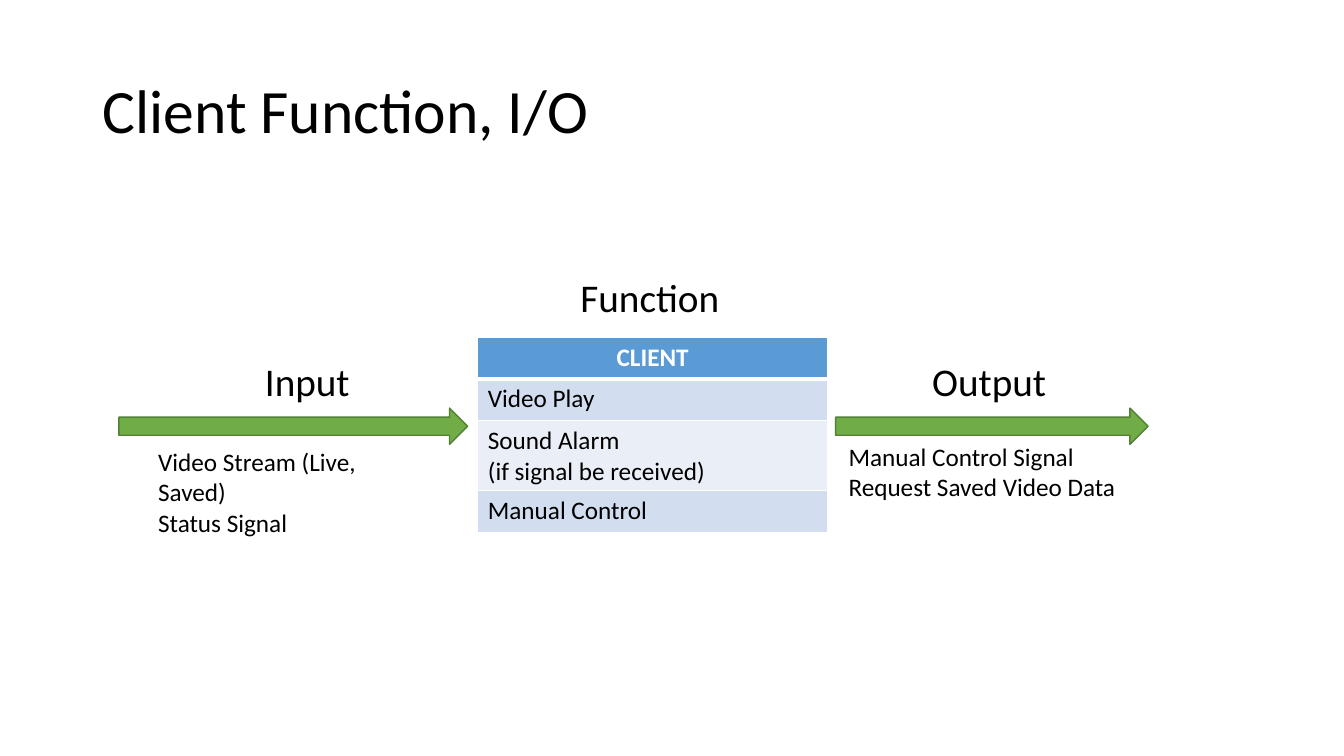
"""Builds the slide on the function, input and output of the client."""
import dataclasses
import pptx
import pptx.dml.color
import pptx.enum.shapes
import pptx.enum.text
import pptx.oxml
import pptx.oxml.ns
import pptx.util


@dataclasses.dataclass(frozen=True)
class Theme:
    """Colours, font and type sizes of the slide."""
    font: str = "Calibri"
    ink: str = "000000"
    white: str = "FFFFFF"
    green: str = "70AD47"
    edge: str = "538035"
    head: str = "5B9BD5"
    bands: tuple = ("D2DEEF", "EAEFF7")
    title: int = 44
    label: int = 28
    body: int = 18


class Deck:
    """Holds the theme and the slide, placing items on a grid of 40 columns."""

    def __init__(self, theme):
        """Opens a blank deck with one title slide."""
        self.theme = theme
        self.show = pptx.Presentation()
        self.show.slide_width = pptx.util.Inches(13.33)
        self.show.slide_height = pptx.util.Inches(7.5)
        self.unit = self.show.slide_width / 40
        self.slide = self.show.slides.add_slide(self.show.slide_layouts[5])

    def grid(self, *cells):
        """Turns grid cells into lengths."""
        return [pptx.util.Emu(round(cell * self.unit)) for cell in cells]

    def color(self, code):
        """Reads a colour code."""
        return pptx.dml.color.RGBColor.from_string(code)

    def paint(self, item, code):
        """Fills a shape or cell with one colour."""
        item.fill.solid()
        item.fill.fore_color.rgb = self.color(code)

    def letter(self, frame, lines, size, code=None, bold=False, align="LEFT"):
        """Sets one run per line, each in its own paragraph."""
        frame.word_wrap = True
        for row, line in enumerate(lines):
            para = frame.add_paragraph() if row else frame.paragraphs[0]
            para.alignment = pptx.enum.text.PP_ALIGN[align]
            run = para.add_run()
            run.text = line
            run.font.name = self.theme.font
            run.font.size = pptx.util.Pt(size)
            run.font.bold = bold
            run.font.color.rgb = self.color(code or self.theme.ink)

    def title(self, line, *box):
        """Places and fills the title."""
        item = self.slide.shapes.title
        item.left, item.top, item.width, item.height = self.grid(*box)
        frame = item.text_frame
        frame.auto_size = pptx.enum.text.MSO_AUTO_SIZE.NONE
        frame.vertical_anchor = pptx.enum.text.MSO_ANCHOR.MIDDLE
        self.letter(frame, [line], self.theme.title)
        frame.paragraphs[0].line_spacing = 0.9

    def text(self, lines, size, *box):
        """Adds a text box."""
        item = self.slide.shapes.add_textbox(*self.grid(*box))
        self.letter(item.text_frame, lines, size)

    def arrow(self, *box):
        """Adds a block arrow that points right."""
        kind = pptx.enum.shapes.MSO_SHAPE.RIGHT_ARROW
        item = self.slide.shapes.add_shape(kind, *self.grid(*box))
        item.shadow.inherit = False
        self.paint(item, self.theme.green)
        item.line.color.rgb = self.color(self.theme.edge)
        item.line.width = pptx.util.Pt(1)

    def border(self, cell, top, base):
        """Draws white borders round a cell, widths in points."""
        sides = {"L": 1, "R": 1, "T": top, "B": base}
        space = pptx.oxml.ns.nsdecls("a")
        for spot, (side, width) in enumerate(sides.items()):
            line = pptx.oxml.parse_xml(
                f'<a:ln{side} {space} w="{pptx.util.Pt(width)}"><a:solidFill>'
                f'<a:srgbClr val="{self.theme.white}"/></a:solidFill></a:ln{side}>')
            cell._tc.get_or_add_tcPr().insert(spot, line)

    def table(self, head, items, left, top, width, high, tall):
        """Adds a table of one column with a header and banded rows."""
        rows = [[head], *items]
        sizes = [tall if len(lines) > 1 else high for lines in rows]
        box = self.grid(left, top, width, sum(sizes))
        table = self.slide.shapes.add_table(len(rows), 1, *box).table
        look = self.theme
        for spot, (lines, size) in enumerate(zip(rows, sizes)):
            table.rows[spot].height = self.grid(size)[0]
            cell = table.cell(spot, 0)
            if spot:
                self.paint(cell, look.bands[(spot - 1) % 2])
                self.letter(cell.text_frame, lines, look.body)
            else:
                self.paint(cell, look.head)
                self.letter(cell.text_frame, lines, look.body, look.white, True, "CENTER")
            self.border(cell, 3 if spot == 1 else 1, 1 if spot else 3)


def main():
    """Builds and saves the slide."""
    look = Theme()
    deck = Deck(look)
    deck.title("Client Function, I/O", 2.75, 1.2, 34.5, 4.35)
    for left, width in ((3.54, 10.38), (24.87, 9.3)):
        deck.arrow(left, 12.15, width, 1.08)
    labels = (("Input", 7.59, 10.5, 3.36), ("Output", 27.45, 10.5, 4.14),
              ("Function", 16.98, 7.98, 4.83))
    for word, left, top, width in labels:
        deck.text([word], look.label, left, top, width, 1.71)
    deck.table("CLIENT", [["Video Play"], ["Sound Alarm", "(if signal be received)"],
                          ["Manual Control"]], 14.22, 10.05, 10.41, 1.23, 2.1)
    notes = ((["Video Stream (Live, Saved)", "Status Signal"], 4.41, 13.14, 8.61),
             (["Manual Control Signal", "Request Saved Video Data"], 24.96, 12.99, 11.37))
    for lines, left, top, width in notes:
        deck.text(lines, look.body, left, top, width, 2.13)
    deck.show.save("out.pptx")


main()
